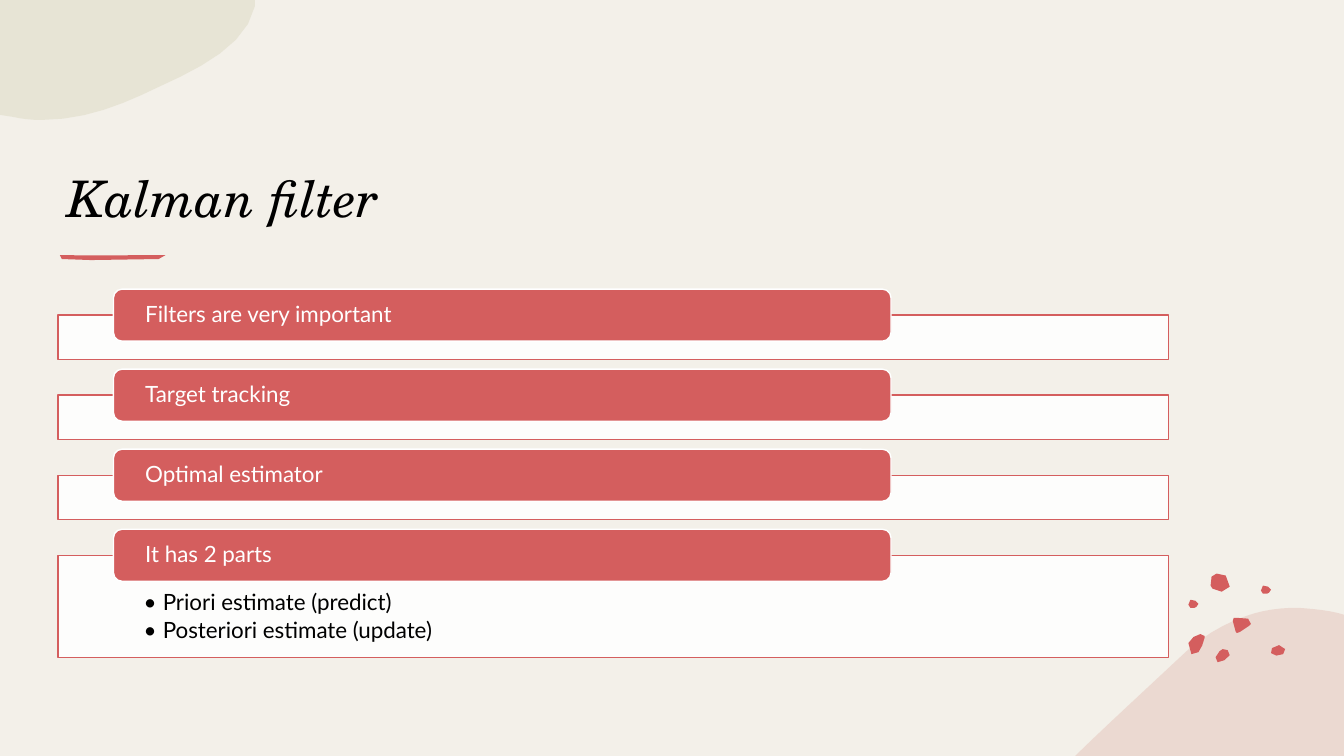
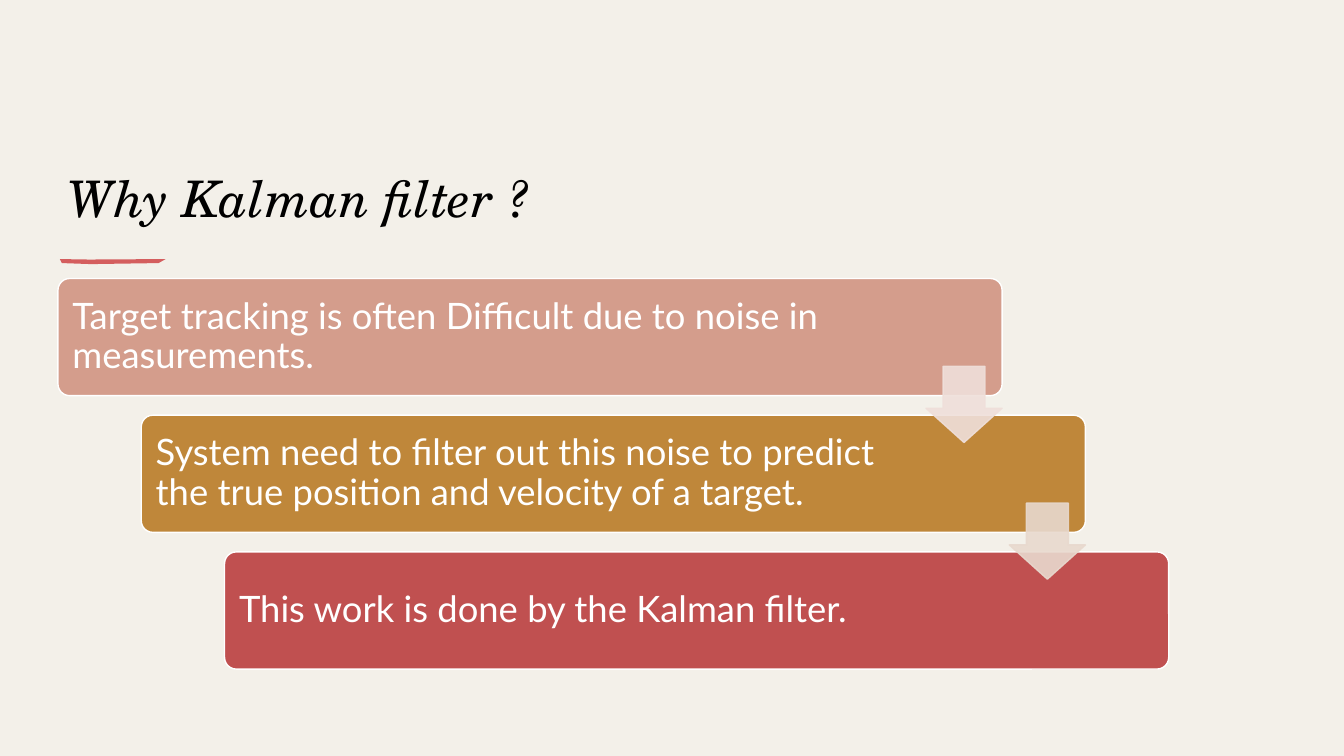
import math
from dataclasses import dataclass

from lxml import etree
from pptx import Presentation
from pptx import util as u
from pptx.dml.color import RGBColor
from pptx.enum import shapes, text
from pptx.oxml import ns

COLUMNS, ROWS = 160, 90
CELL = u.Inches(1) // 12
HUNDREDTH = u.Inches(0.01)  # unit of the hand-drawn outlines


@dataclass(frozen=True)
class Theme:
    paper: str = "F3F0E9"
    ink: str = "000000"
    white: str = "FFFFFF"
    accent: str = "D45E5E"
    hill: str = "E5C4BA"
    leaf: str = "DCD9C3"
    steps: tuple = ("D49D8C", "BF873A", "C05050")
    arrows: tuple = ("EFDFDA", "E8D9CE")
    title_font: str = "TeX Gyre Schola"
    body_font: str = "Lato"
    title_size: int = 36
    step_size: int = 26
    list_size: int = 16


THEME = Theme()


@dataclass(frozen=True)
class Box:
    """A rectangle measured in grid columns and rows."""
    left: float
    top: float
    width: float
    height: float

    def emu(self):
        return [round(n * CELL) for n in (self.left, self.top, self.width, self.height)]


TITLE = Box(6.9, 10.32, 132.24, 17.4)
HILL = Box(128, 72.36, 32, 17.64)
LEAF = Box(0, 0, 30.4, 14.3)
DOTS = Box(141.36, 68.28, 12, 10.7)
PANELS = Box(6.9, 34.42, 132.24, 43.9)
STAIRS = Box(6.9, 33.15, 132.24, 46.5)

# Outlines: a start point, then line ends (2 numbers) or curves (6 numbers)
HILL_OUTLINE = [
    (221, 0), (234, 1, 247, 2, 260, 5), (267, 7), (267, 147), (0, 147), (1, 146),
    (35, 113, 70, 81, 102, 51), (124, 29, 147, 16, 170, 8), (187, 2, 204, 0, 221, 0)]
LEAF_OUTLINE = [
    (0, 0), (253, 0), (253, 6), (245, 44, 200, 67, 158, 86),
    (123, 103, 86, 119, 41, 119), (31, 119, 22, 118, 13, 116), (0, 114)]
STROKE_OUTLINE = [
    (1, 0), (30, 0.5), (106, 0), (103, 1, 105, 4, 99, 4),
    (32, 5), (3, 4), (-1, 5, 0, 1, 1, 0)]
SMALL_DOT = [
    (73, 17), (73, 17, 73, 13, 75, 12), (77, 12, 78, 12, 80, 13),
    (81, 13, 83, 14, 83, 16), (83, 17, 82, 19, 81, 19), (81, 19, 81, 20, 79, 20),
    (78, 20, 76, 21, 75, 20), (74, 18, 73, 18, 73, 17)]
LARGE_DOTS = [
    [(35, 75), (37, 75, 38, 75, 40, 76), (42, 77, 43, 79, 42, 81),
     (40, 84, 34, 89, 30, 88), (29, 87, 28, 85, 28, 83),
     (28, 81, 30, 78, 32, 77), (33, 76, 34, 75, 35, 75)],
    [(13, 60), (15, 60, 17, 60, 17, 62), (17, 63, 17, 63, 17, 64),
     (16, 69, 14, 74, 11, 78), (9, 80, 6, 83, 4, 80), (1, 77, 0, 72, 1, 69),
     (2, 66, 4, 65, 6, 63), (7, 63, 10, 60, 13, 60)],
    [(91, 71), (93, 71, 96, 73, 97, 75), (98, 77, 98, 79, 95, 80),
     (92, 82, 84, 82, 83, 79), (82, 77, 83, 75, 84, 74), (86, 72, 88, 71, 91, 71)],
    [(23, 12), (22, 12, 21, 6, 24, 3), (26, 1, 26, 0, 29, 0), (32, 0, 36, 1, 38, 2),
     (40, 4, 44, 9, 42, 13), (39, 16, 38, 18, 34, 18), (31, 18, 26, 17, 25, 15),
     (23, 14, 23, 13, 23, 12)],
    [(50, 44), (56, 44, 67, 44, 63, 50), (63, 51, 62, 52, 61, 52),
     (58, 54, 55, 56, 52, 58), (51, 59, 50, 60, 49, 59), (48, 58),
     (46, 54, 45, 51, 45, 47), (45, 46, 45, 45, 46, 44)],
]


# Painting and text helpers
def set_alpha(fill_parent, alpha):
    for color in fill_parent.iter(ns.qn("a:srgbClr")):
        etree.SubElement(color, ns.qn("a:alpha")).set("val", str(alpha * 1000))


def paint(shape, fill, line=None, alpha=100):
    shape.shadow.inherit = False
    shape.fill.solid()
    shape.fill.fore_color.rgb = RGBColor.from_string(fill)
    if alpha < 100:
        set_alpha(shape.fill._xPr.find(ns.qn("a:solidFill")), alpha)
    if line:
        shape.line.color.rgb = RGBColor.from_string(line)
        shape.line.width = u.Pt(1)
    else:
        shape.line.fill.background()


def add_block(page, kind, box, fill, line, alpha=100):
    shape = page.shapes.add_shape(kind, *box.emu())
    paint(shape, fill, line, alpha)
    return shape


def set_frame(frame, anchor, insets):
    frame.word_wrap = True
    frame.vertical_anchor = anchor
    (frame.margin_left, frame.margin_top,
     frame.margin_right, frame.margin_bottom) = map(u.Inches, insets)


def add_span(para, words, size, color, font=THEME.body_font, italic=False):
    para.alignment = text.PP_ALIGN.LEFT
    span = para.add_run()
    span.text = words
    span.font.name = font
    span.font.size = u.Pt(size)
    span.font.italic = italic
    span.font.color.rgb = RGBColor.from_string(color)


def add_bullet(para):
    props = para._p.get_or_add_pPr()
    indent = u.Inches(0.19)
    props.set("marL", str(indent))
    props.set("indent", str(-indent))
    etree.SubElement(props, ns.qn("a:buFont")).set("typeface", THEME.body_font)
    etree.SubElement(props, ns.qn("a:buChar")).set("char", "•")


# Hand-drawn outlines
def flatten(outline):
    """Replace each curve by chords, more of them on longer curves."""
    points = [outline[0]]
    for part in outline[1:]:
        if len(part) == 2:
            points.append(part)
            continue
        chain = (points[-1], part[:2], part[2:4], part[4:])
        steps = min(6, max(1, round(math.dist(chain[0], chain[3]) / 8)))
        for step in range(1, steps + 1):
            t = step / steps
            weights = ((1 - t) ** 3, 3 * t * (1 - t) ** 2, 3 * t * t * (1 - t), t ** 3)
            points.append(tuple(sum(w * p[axis] for w, p in zip(weights, chain))
                                for axis in (0, 1)))
    return points


def add_outline(page, box, outline, color, alpha=100, shift=(0, 0)):
    points = [(box.left * CELL + (x + shift[0]) * HUNDREDTH,
               box.top * CELL + (y + shift[1]) * HUNDREDTH)
              for x, y in flatten(outline)]
    builder = page.shapes.build_freeform(*points[0])
    builder.add_line_segments(points[1:], close=True)
    paint(builder.convert_to_shape(), color, alpha=alpha)


# Regions
def add_page(deck):
    page = deck.slides.add_slide(deck.slide_layouts[6])
    page.background.fill.solid()
    page.background.fill.fore_color.rgb = RGBColor.from_string(THEME.paper)
    return page


def add_decor(page):
    add_outline(page, HILL, HILL_OUTLINE, THEME.hill, alpha=50)
    for dot in LARGE_DOTS:
        add_outline(page, DOTS, dot, THEME.accent)
    for shift in ((0, 0), (-72, 14)):
        add_outline(page, DOTS, SMALL_DOT, THEME.accent, shift=shift)
    add_outline(page, LEAF, LEAF_OUTLINE, THEME.leaf, alpha=50)


def add_title(page, box, words, stroke_gap):
    frame = page.shapes.add_textbox(*box.emu()).text_frame
    set_frame(frame, text.MSO_ANCHOR.BOTTOM, (0.1, 0.05, 0.1, 0.05))
    add_span(frame.paragraphs[0], words, THEME.title_size, THEME.ink,
             THEME.title_font, italic=True)
    stroke = Box(box.left + 0.1, box.top + box.height + stroke_gap, 12.7, 0.6)
    add_outline(page, stroke, STROKE_OUTLINE, THEME.accent)


def add_panels(page, box, items):
    header_height, gap = 6.2, 1.13
    top = box.top
    for heading, bullets in items:
        # Panel with its bullets
        height = 12.2 if bullets else 5.3
        panel_top = top + header_height / 2
        panel = add_block(page, shapes.MSO_SHAPE.RECTANGLE,
                          Box(box.left, panel_top, box.width, height),
                          THEME.white, THEME.accent, alpha=90)
        frame = panel.text_frame
        set_frame(frame, text.MSO_ANCHOR.TOP, (0.85, 0.36, 0.85, 0.12))
        for index, words in enumerate(bullets):
            para = frame.add_paragraph() if index else frame.paragraphs[0]
            para.line_spacing = 0.9
            para.space_after = u.Pt(0.15 * THEME.list_size)
            add_bullet(para)
            add_span(para, words, THEME.list_size, THEME.ink)
        # Header over the panel's upper edge
        header = add_block(page, shapes.MSO_SHAPE.ROUNDED_RECTANGLE,
                           Box(box.left + 0.05 * box.width, top,
                               0.7 * box.width, header_height),
                           THEME.accent, THEME.white)
        set_frame(header.text_frame, text.MSO_ANCHOR.MIDDLE, (0.29, 0, 0.29, 0))
        para = header.text_frame.paragraphs[0]
        para.line_spacing = 0.9
        add_span(para, heading, THEME.list_size, THEME.white)
        top = panel_top + height + gap


def add_stairs(page, box, items):
    width, height = 0.85 * box.width, 0.3 * box.height
    cards = [Box(box.left + index * 0.075 * box.width,
                 box.top + index * 0.35 * box.height, width, height)
             for index in range(len(items))]
    # Cards
    for index, (card, words) in enumerate(zip(cards, items)):
        shape = add_block(page, shapes.MSO_SHAPE.ROUNDED_RECTANGLE, card,
                          THEME.steps[index], THEME.white)
        shape.adjustments[0] = 0.1
        right = 1.69 if index else 1.3
        set_frame(shape.text_frame, text.MSO_ANCHOR.MIDDLE, (0.11, 0.11, right, 0.11))
        para = shape.text_frame.paragraphs[0]
        para.line_spacing = 0.9
        add_span(para, words, THEME.step_size, THEME.white)
    # Arrows from each card to the next
    side = 0.65 * height
    for card, color in zip(cards, THEME.arrows):
        place = Box(card.left + width - side, card.top + 0.75 * height, side, side)
        arrow = add_block(page, shapes.MSO_SHAPE.DOWN_ARROW, place, color, color, alpha=90)
        arrow.adjustments[0], arrow.adjustments[1] = 0.55, 0.45
        set_alpha(arrow.line._ln, 90)


# Slides
def build_filter_page(deck):
    page = add_page(deck)
    add_decor(page)
    add_title(page, TITLE, "Kalman filter", 2.64)
    add_panels(page, PANELS, [
        ("Filters are very important", []),
        ("Target tracking", []),
        ("Optimal estimator", []),
        ("It has 2 parts", ["Priori estimate (predict)", "Posteriori estimate (update)"]),
    ])


def build_reason_page(deck):
    page = add_page(deck)
    add_title(page, TITLE, "Why Kalman filter ?", 3.12)
    add_stairs(page, STAIRS, [
        "Target tracking is often Difficult due to noise in measurements.",
        "System need to filter out this noise to predict the true position "
        "and velocity of a target.",
        "This work is done by the Kalman filter.",
    ])


def main():
    deck = Presentation()
    deck.slide_width, deck.slide_height = COLUMNS * CELL, ROWS * CELL
    build_filter_page(deck)
    build_reason_page(deck)
    deck.save("out.pptx")


if __name__ == "__main__":
    main()
